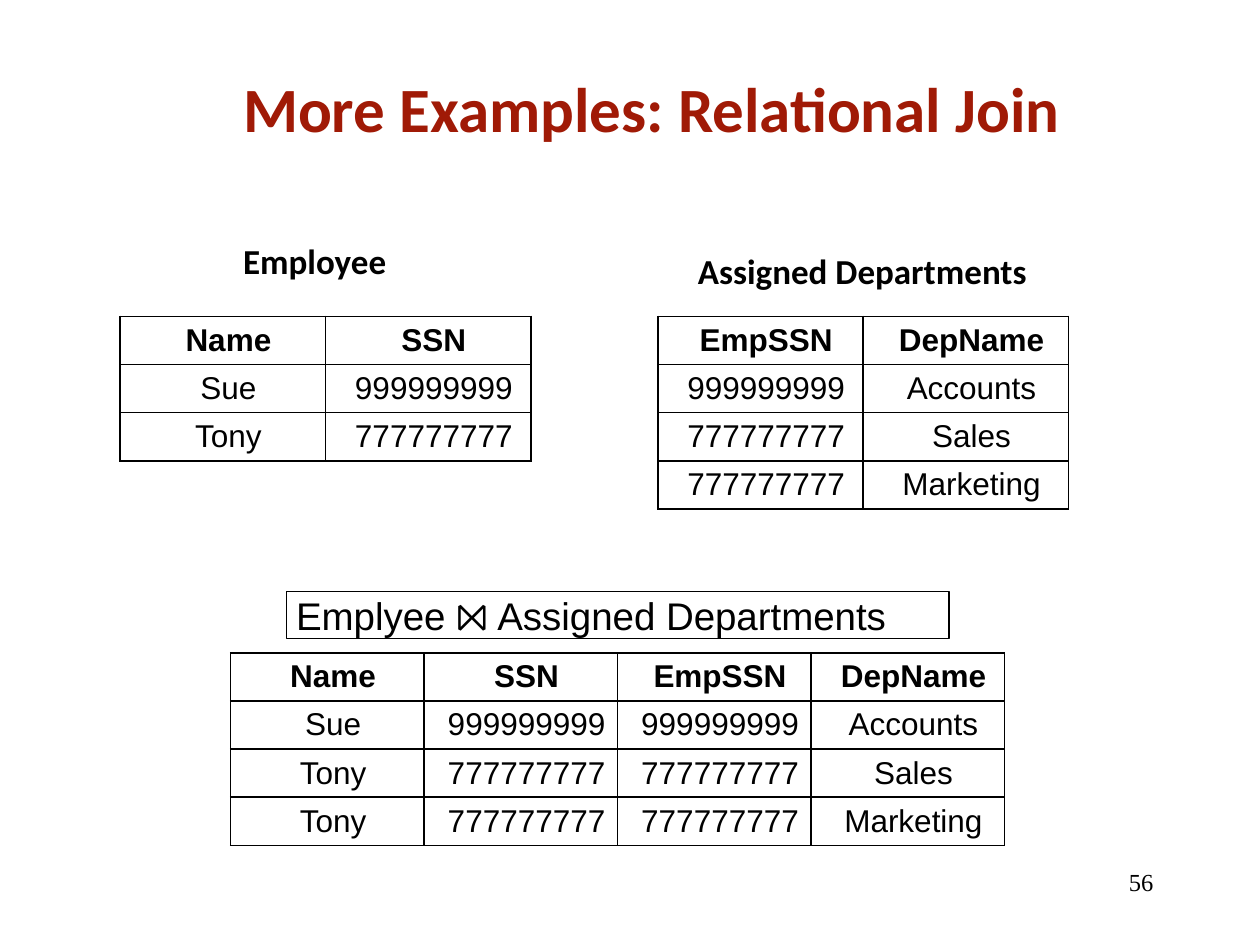
from dataclasses import dataclass

from lxml.etree import SubElement
from pptx import Presentation
from pptx.dml.color import RGBColor
from pptx.enum.shapes import MSO_SHAPE
from pptx.enum.text import MSO_ANCHOR, PP_ALIGN
from pptx.oxml.ns import qn
from pptx.util import Cm, Pt


@dataclass(frozen=True)
class Theme:
    ink: RGBColor = RGBColor(0x00, 0x00, 0x00)
    paper: RGBColor = RGBColor(0xFF, 0xFF, 0xFF)
    accent: RGBColor = RGBColor(0xA0, 0x1A, 0x06)
    heading_font: str = "Calibri"
    body_font: str = "Arial"
    symbol_font: str = "Noto Sans"
    number_font: str = "Times New Roman"
    title_size: int = 36
    expression_size: int = 22
    label_size: int = 20
    cell_size: int = 18
    number_size: int = 14
    border: float = 1
    frame_border: float = 0.75


THEME = Theme()
ROW_HEIGHT = 0.97


def style(para, font_name, size, color=THEME.ink, bold=False, align=PP_ALIGN.LEFT):
    para.alignment = align
    font = para.font
    font.name, font.size, font.bold = font_name, Pt(size), bold
    font.color.rgb = color


def indent(para, length):
    properties = para._p.get_or_add_pPr()
    properties.set("marL", str(Cm(length)))
    properties.set("indent", "0")


def clear_margins(holder):
    holder.margin_left = holder.margin_right = 0
    holder.margin_top = holder.margin_bottom = 0


def add_title(page, box, text):
    title = page.shapes.title
    title.left, title.top, title.width, title.height = map(Cm, box)
    frame = title.text_frame
    frame.text = text
    frame.word_wrap = True
    frame.vertical_anchor = MSO_ANCHOR.TOP
    style(frame.paragraphs[0], THEME.heading_font, THEME.title_size,
          THEME.accent, bold=True, align=PP_ALIGN.CENTER)


def add_text(page, box, text, font_name, size, **options):
    frame = page.shapes.add_textbox(*map(Cm, box)).text_frame
    frame.text = text
    style(frame.paragraphs[0], font_name, size, **options)
    return frame


def add_label(page, box, text):
    add_text(page, box, text, THEME.heading_font, THEME.label_size, bold=True)


def add_page_number(page, box, number):
    frame = add_text(page, box, str(number), THEME.number_font,
                     THEME.number_size, align=PP_ALIGN.RIGHT)
    frame.word_wrap = True


def add_expression(page, box, left_name, right_name):
    """Framed join expression of two relation names."""
    shape = page.shapes.add_shape(MSO_SHAPE.RECTANGLE, *map(Cm, box))
    shape.shadow.inherit = False
    shape.fill.solid()
    shape.fill.fore_color.rgb = THEME.paper
    shape.line.color.rgb = THEME.ink
    shape.line.width = Pt(THEME.frame_border)
    frame = shape.text_frame
    frame.word_wrap = True
    frame.vertical_anchor = MSO_ANCHOR.TOP
    clear_margins(frame)
    para = frame.paragraphs[0]
    style(para, THEME.body_font, THEME.expression_size)
    indent(para, 0.2)
    for text, font_name in ((f"{left_name} ", THEME.body_font),
                            ("⨝ ", THEME.symbol_font),
                            (right_name, THEME.body_font)):
        span = para.add_run()
        span.text = text
        span.font.name = font_name


def add_borders(cell):
    properties = cell._tc.get_or_add_tcPr()
    for position, side in enumerate(("a:lnL", "a:lnR", "a:lnT", "a:lnB")):
        line = SubElement(properties, qn(side), w=str(Pt(THEME.border)))
        fill = SubElement(line, qn("a:solidFill"))
        SubElement(fill, qn("a:srgbClr"), val=str(THEME.ink))
        properties.insert(position, line)


def add_relation(page, left, top, width, rows):
    """Bordered table with equal columns and a bold header row."""
    columns = len(rows[0])
    table = page.shapes.add_table(len(rows), columns, Cm(left), Cm(top), Cm(width),
                                  Cm(ROW_HEIGHT * len(rows))).table
    table.first_row = table.horz_banding = False
    for column in table.columns:
        column.width = Cm(width / columns)
    for row_index, row in enumerate(rows):
        table.rows[row_index].height = Cm(ROW_HEIGHT)
        for column_index, text in enumerate(row):
            cell = table.cell(row_index, column_index)
            cell.text = text
            cell.fill.background()
            cell.vertical_anchor = MSO_ANCHOR.MIDDLE
            clear_margins(cell)
            add_borders(cell)
            para = cell.text_frame.paragraphs[0]
            style(para, THEME.body_font, THEME.cell_size,
                  bold=row_index == 0, align=PP_ALIGN.CENTER)
            indent(para, 0.23)


def main():
    deck = Presentation()
    deck.slide_width, deck.slide_height = Cm(25.4), Cm(19.05)
    page = deck.slides.add_slide(deck.slide_layouts[5])

    employees = [("Name", "SSN"), ("Sue", "999999999"), ("Tony", "777777777")]
    departments = [("EmpSSN", "DepName"), ("999999999", "Accounts"),
                   ("777777777", "Sales"), ("777777777", "Marketing")]
    matches = [person + department
               for person in employees[1:] for department in departments[1:]
               if person[1] == department[0]]
    joined = [employees[0] + departments[0]] + matches

    add_title(page, (2.34, 1.27, 21.59, 3.18), "More Examples: Relational Join")
    add_label(page, (4.65, 4.7, 3.43, 1.12), "Employee")
    add_relation(page, 2.42, 6.38, 8.28, employees)
    add_label(page, (13.82, 4.9, 7.21, 1.12), "Assigned Departments")
    add_relation(page, 13.26, 6.38, 8.28, departments)
    add_expression(page, (5.77, 11.93, 13.36, 0.94), "Emplyee", "Assigned Departments")
    add_relation(page, 4.65, 13.16, 15.6, joined)
    add_page_number(page, (18.21, 17.35, 5.29, 1.27), 56)

    deck.save("out.pptx")


if __name__ == "__main__":
    main()
